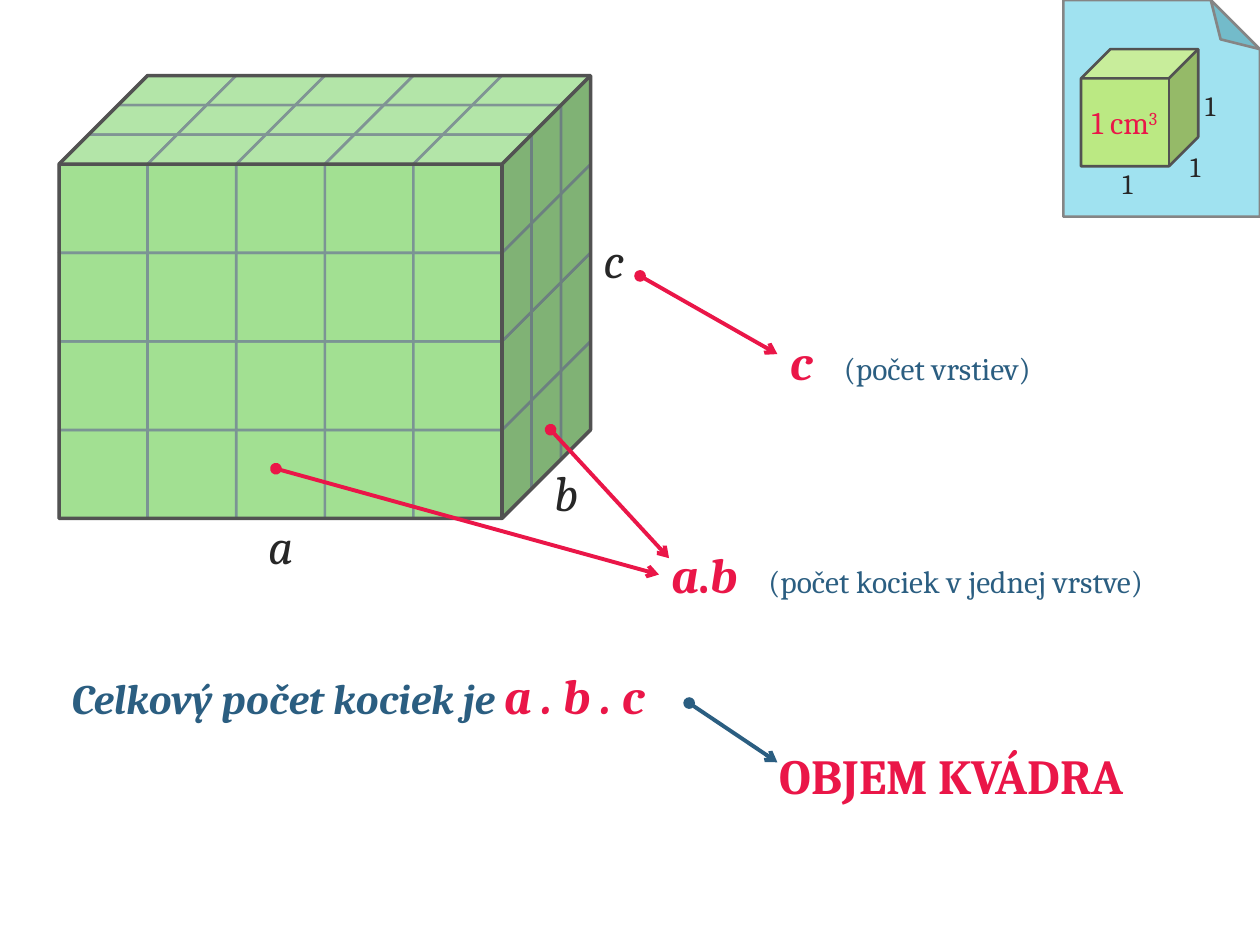
from dataclasses import dataclass

from lxml.etree import SubElement
from pptx import Presentation
from pptx.dml.color import RGBColor
from pptx.enum.shapes import MSO_CONNECTOR, MSO_SHAPE
from pptx.enum.text import MSO_AUTO_SIZE, PP_ALIGN
from pptx.oxml.ns import qn
from pptx.util import Inches, Pt

WIDTH, HEIGHT = 10, 7.5
COLUMNS, ROWS, LAYERS = 5, 3, 4
EDGE = 7.03
STEP = EDGE / ROWS
ASPECT = WIDTH / HEIGHT
BLOCK_LEFT, BLOCK_TOP = 4.69, 8
RED, BLUE, DARK, GREY = "EA1648", "2B5E81", "272727", "525252"


@dataclass(frozen=True)
class Style:
    """Look of a piece of text."""

    size: int
    color: str
    bold: bool = False
    italic: bool = False


FORMULA = Style(28, RED, True, True)
NOTE = Style(18, BLUE)
EDGE_NAME = Style(28, DARK, italic=True)
UNIT_EDGE = Style(16, DARK)
UNIT_VOLUME = Style(18, RED)


def across(share):
    """Turn a percentage of the slide width into a length."""
    return Inches(WIDTH * share / 100)


def down(share):
    """Turn a percentage of the slide height into a length."""
    return Inches(HEIGHT * share / 100)


def frame(left, top, width, height):
    """Turn four slide percentages into a position and a size."""
    return across(left), down(top), across(width), down(height)


def rgb(code):
    """Turn a hex string into a colour."""
    return RGBColor.from_string(code)


def add_solid(shapes, kind, place, fill, line=GREY, weight=1.5, opacity=100):
    """Add a preset shape with a fill and an outline."""
    solid = shapes.add_shape(kind, *frame(*place))
    solid.shadow.inherit = False
    solid.fill.solid()
    solid.fill.fore_color.rgb = rgb(fill)
    solid.line.color.rgb = rgb(line)
    solid.line.width = Pt(weight)
    if opacity < 100:
        color = solid.element.spPr.find(qn("a:solidFill"))[0]
        SubElement(color, qn("a:alpha"), val=str(opacity * 1000))
    return solid


def set_depth(solid, percent):
    """Set the depth of a cube or of a folded corner."""
    guides = solid.element.spPr.find(qn("a:prstGeom")).get_or_add_avLst()
    for guide in list(guides):
        guides.remove(guide)
    SubElement(guides, qn("a:gd"), name="adj", fmla=f"val {percent * 1000}")


def add_layer(shapes, layer):
    """Add one layer of unit cubes, from the back row to the front."""
    size = EDGE + STEP
    for row in range(ROWS):
        for column in range(COLUMNS):
            left = BLOCK_LEFT + (ROWS - 1 - row) * STEP + column * EDGE
            top = BLOCK_TOP + (row * STEP + layer * EDGE) * ASPECT
            add_solid(shapes, MSO_SHAPE.CUBE, (left, top, size, size * ASPECT), "92D050")


def add_block(page):
    """Stack the layers and cover them with a translucent cuboid."""
    add_layer(page.shapes, LAYERS - 1)
    for layer in reversed(range(LAYERS - 1)):
        add_layer(page.shapes.add_group_shape().shapes, layer)
    depth = ROWS * STEP
    place = (BLOCK_LEFT, BLOCK_TOP, COLUMNS * EDGE + depth, (LAYERS * EDGE + depth) * ASPECT)
    cover = add_solid(page.shapes, MSO_SHAPE.CUBE, place, "BAF8F7", weight=2, opacity=40)
    set_depth(cover, 20)


def set_font(font, style):
    """Apply a text style to a font."""
    font.size = Pt(style.size)
    font.color.rgb = rgb(style.color)
    font.bold = style.bold
    font.italic = style.italic


def add_label(shapes, place, parts, align=PP_ALIGN.LEFT, tab=None):
    """Add a one-line text box made of (text, style) parts."""
    box = shapes.add_textbox(*frame(*place))
    box.text_frame.word_wrap = True
    box.text_frame.auto_size = MSO_AUTO_SIZE.SHAPE_TO_FIT_TEXT
    para = box.text_frame.paragraphs[0]
    para.alignment = align
    if tab:
        stops = SubElement(para._p.get_or_add_pPr(), qn("a:tabLst"))
        SubElement(stops, qn("a:tab"), pos=str(across(tab)), algn="l")
    para.font.name = "Cambria"
    agree = len({style for _, style in parts}) == 1
    if agree:
        set_font(para.font, parts[0][1])
    for text, style in parts:
        span = para.add_run()
        span.text = text
        if not agree:
            set_font(span.font, style)
    return para


def add_arrow(page, start, end, color):
    """Add an arrow that starts with a dot."""
    arrow = page.shapes.add_connector(
        MSO_CONNECTOR.STRAIGHT, across(start[0]), down(start[1]), across(end[0]), down(end[1])
    )
    arrow.line.color.rgb = rgb(color)
    arrow.line.width = Pt(2.25)
    outline = arrow.element.spPr.get_or_add_ln()
    SubElement(outline, qn("a:headEnd"), type="oval")
    SubElement(outline, qn("a:tailEnd"), type="arrow")
    SubElement(arrow.element.spPr, qn("a:effectLst"))


def add_note_sheet(page):
    """Add the sheet with its folded corner at the top right."""
    sheet = add_solid(
        page.shapes, MSO_SHAPE.FOLDED_CORNER, (84.4, 0, 15.6, 22.93), "78D6EA", "858585", opacity=70
    )
    set_depth(sheet, 25)
    sheet.rotation = 180
    sheet.element.spPr.find(qn("a:xfrm")).set("flipH", "1")


def add_unit_cube(page):
    """Add the unit cube with its edge lengths and volume."""
    shapes = page.shapes.add_group_shape().shapes
    add_solid(shapes, MSO_SHAPE.CUBE, (85.8, 5.2, 9.3, 12.4), "BBE983")
    for left, top, width in ((88.1, 16.93, 2.5), (94.5, 8.67, 3.1), (93.3, 15.2, 3.1)):
        add_label(shapes, (left, top, width, 4.93), [("1", UNIT_EDGE)], PP_ALIGN.CENTER)
    volume = add_label(
        shapes, (85.2, 10.27, 8.1, 5.33), [("1 cm", UNIT_VOLUME), ("3", UNIT_VOLUME)], PP_ALIGN.CENTER
    )
    volume.runs[1]._r.get_or_add_rPr().set("baseline", "30000")


def main():
    """Build the slide about the volume of a cuboid."""
    deck = Presentation()
    deck.slide_width, deck.slide_height = Inches(WIDTH), Inches(HEIGHT)
    page = deck.slides.add_slide(deck.slide_layouts[6])
    add_note_sheet(page)
    add_block(page)
    for start, end, color in (
        ((21.9, 49.6), (52.3, 60.8), RED),
        ((43.7, 45.47), (53.1, 59.07), RED),
        ((50.8, 29.2), (61.7, 37.47), RED),
        ((54.7, 74.4), (61.7, 80.67), BLUE),
    ):
        add_arrow(page, start, end, color)
    for name, left, top in (("a", 20.3, 53.87), ("b", 43, 48.27), ("c", 46.9, 23.6)):
        add_label(page.shapes, (left, top, 3.9, 7.6), [(name, EDGE_NAME)])
    period = (".", Style(28, RED, True))
    base = [("a", FORMULA), period, ("b", FORMULA), ("\t(počet kociek v jednej vrstve)", NOTE)]
    add_label(page.shapes, (52.3, 56.93, 46.1, 7.6), base, tab=7.7)
    layers = [("c", FORMULA), ("\t(počet vrstiev)", NOTE)]
    add_label(page.shapes, (61.7, 34.4, 22.7, 7.6), layers, tab=4.3)
    total = [("Celkový počet kociek je ", Style(24, BLUE, True, True)), ("a . b . c", FORMULA)]
    add_label(page.shapes, (4.7, 69.73, 82, 18.4), total)
    add_label(page.shapes, (60.9, 78.27, 38.3, 7.6), [("OBJEM KVÁDRA", Style(28, RED, True))])
    add_unit_cube(page)
    deck.save("out.pptx")


if __name__ == "__main__":
    main()
